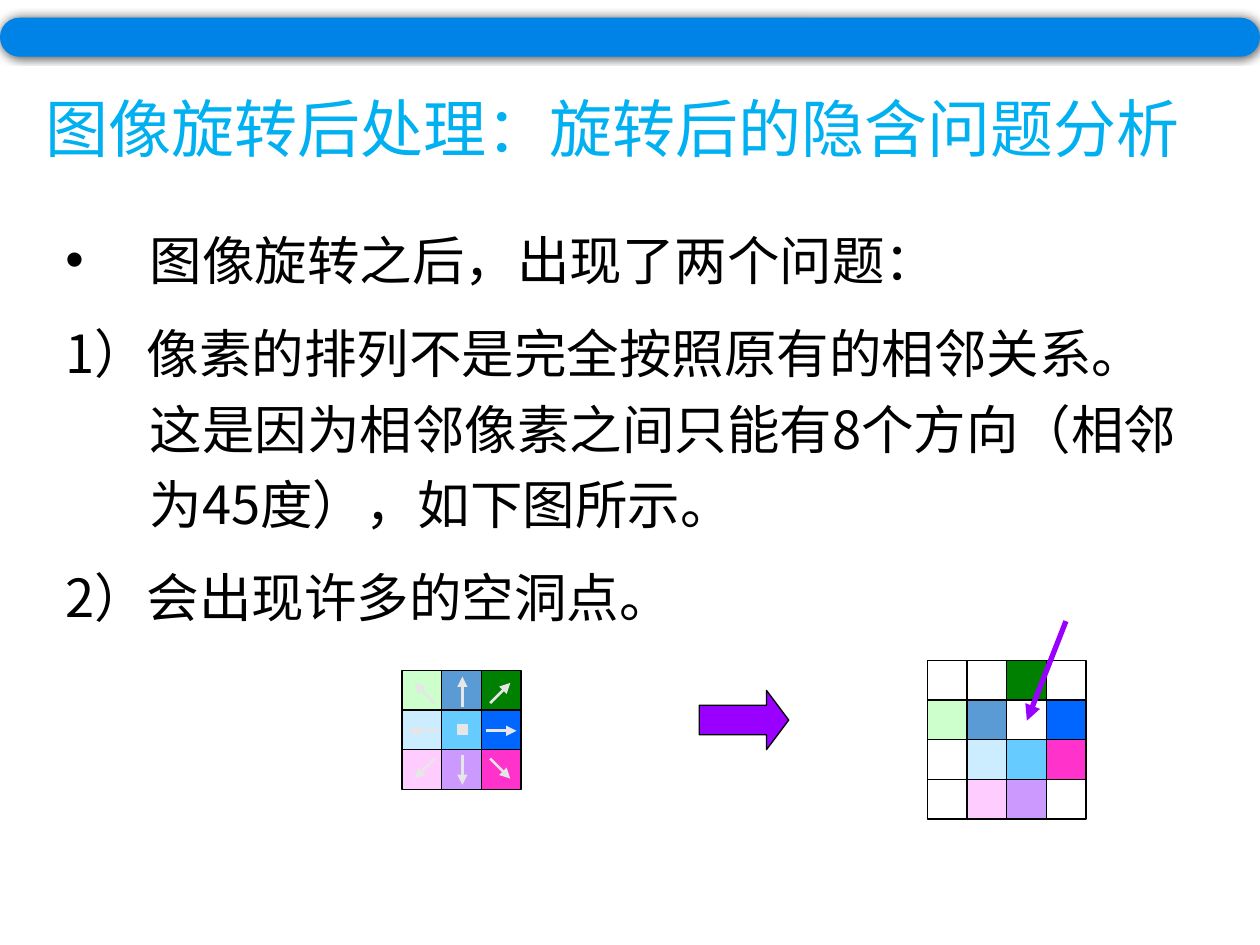
from lxml import etree
from pptx import Presentation
from pptx.dml.color import RGBColor
from pptx.enum.shapes import MSO_CONNECTOR, MSO_SHAPE
from pptx.enum.text import MSO_ANCHOR
from pptx.oxml import parse_xml
from pptx.oxml.ns import nsdecls, qn
from pptx.util import Inches, Pt

RECT = MSO_SHAPE.RECTANGLE
RIGHT_ARROW = MSO_SHAPE.RIGHT_ARROW
ROUNDED = MSO_SHAPE.ROUNDED_RECTANGLE
STRAIGHT = MSO_CONNECTOR.STRAIGHT
TOP, MIDDLE = MSO_ANCHOR.TOP, MSO_ANCHOR.MIDDLE
FONT = "Noto Sans CJK SC"
COLORS = {
    "title": "00B0F0", "black": "000000", "white": "FFFFFF", "bar": "0083E6",
    "purple": "9900FF", "gray": "E7E6E6",
    "mint": "CCFFCC", "steel": "5B9BD5", "green": "008000",
    "ice": "CCECFF", "sky": "66CCFF", "blue": "0066FF",
    "pink": "FFCCFF", "lilac": "CC99FF", "magenta": "FF33CC",
}
RGB = {name: RGBColor.from_string(value) for name, value in COLORS.items()}

prs = Presentation()
prs.slide_width, prs.slide_height = Inches(10), Inches(7.5)
slide = prs.slides.add_slide(prs.slide_layouts[6])


def add_text(paragraphs, left, top, width, height, *, size, color,
             anchor=TOP, spacing=1.0, before=0, hanging=0, bullets=()):
    """Add a text box; bullets holds the indexes of bulleted paragraphs."""
    frame = slide.shapes.add_textbox(
        Inches(left), Inches(top), Inches(width), Inches(height)).text_frame
    frame.word_wrap = True
    frame.vertical_anchor = anchor
    for index, text in enumerate(paragraphs):
        paragraph = frame.paragraphs[0] if index == 0 else frame.add_paragraph()
        paragraph.line_spacing = spacing
        paragraph.space_before = Pt(before if index else 0)
        properties = paragraph._p.get_or_add_pPr()
        if hanging:
            properties.set("marL", str(Inches(hanging)))
            properties.set("indent", str(-Inches(hanging)))
        if index in bullets:
            etree.SubElement(properties, qn("a:buFont")).set("typeface", "Arial")
            etree.SubElement(properties, qn("a:buChar")).set("char", "•")
        run = paragraph.add_run()
        run.text = text
        run.font.size = Pt(size)
        run.font.name = FONT
        run.font.color.rgb = RGB[color]
        east_asian = etree.SubElement(run._r.get_or_add_rPr(), qn("a:ea"))
        east_asian.set("typeface", FONT)


def add_arrow(shapes, start, end, color, weight):
    arrow = shapes.add_connector(STRAIGHT, *map(Inches, start + end))
    arrow.line.color.rgb = RGB[color]
    arrow.line.width = Pt(weight)
    etree.SubElement(arrow.line._get_or_add_ln(), qn("a:tailEnd")).set("type", "triangle")
    etree.SubElement(arrow._element.spPr, qn("a:effectLst"))


add_text(["图像旋转后处理：旋转后的隐含问题分析"], 0.26, 0.46, 9.52, 1.18,
         size=36, color="title", anchor=MIDDLE, spacing=0.9)
add_text(["图像旋转之后，出现了两个问题：",
          "1）像素的排列不是完全按照原有的相邻关系。这是因为相邻像素之间只能有8个方向"
          "（相邻为45度），如下图所示。",
          "2）会出现许多的空洞点。"],
         0.42, 1.66, 9.14, 3.36, size=30, color="black",
         spacing=1.2, before=10, hanging=0.67, bullets=(0,))

# Pixel grids before and after rotation
CELL = 1.26 / 4
before_rotation = (3.19, 5.32, [["mint", "steel", "green"],
                                ["ice", "sky", "blue"],
                                ["pink", "lilac", "magenta"]])
after_rotation = (7.36, 5.24, [["white", "white", "green", "white"],
                               ["mint", "steel", "white", "blue"],
                               ["white", "ice", "sky", "magenta"],
                               ["white", "pink", "lilac", "white"]])
grids = []
for grid_left, grid_top, rows in (after_rotation, before_rotation):
    grid = slide.shapes.add_group_shape()
    grids.append(grid)
    for row, names in enumerate(rows):
        for column, name in enumerate(names):
            pixel = grid.shapes.add_shape(
                RECT, Inches(grid_left + column * CELL), Inches(grid_top + row * CELL),
                Inches(CELL), Inches(CELL))
            pixel.shadow.inherit = False
            pixel.fill.solid()
            pixel.fill.fore_color.rgb = RGB[name]
            pixel.line.color.rgb = RGB["black"]
            pixel.line.width = Pt(0.75)

# Eight neighbour directions around the centre pixel
neighbours = grids[1].shapes
center_x, center_y = 3.67, 5.8
center = neighbours.add_shape(RECT, Inches(center_x - 0.04), Inches(center_y - 0.05),
                              Inches(0.08), Inches(0.08))
center.shadow.inherit = False
center.fill.solid()
center.fill.fore_color.rgb = RGB["gray"]
center.line.color.rgb = RGB["gray"]
center.line.width = Pt(0.75)
for dx in (-1, 0, 1):
    for dy in (-1, 0, 1):
        if dx or dy:
            inner, outer = (0.22, 0.38) if dx and dy else (0.19, 0.43)
            add_arrow(neighbours, (center_x + dx * inner, center_y + dy * inner),
                      (center_x + dx * outer, center_y + dy * outer), "gray", 1.5)

rotation = slide.shapes.add_shape(RIGHT_ARROW, Inches(5.55), Inches(5.48),
                                  Inches(0.71), Inches(0.47))
rotation.adjustments[0], rotation.adjustments[1] = 0.5, 0.375
rotation.shadow.inherit = False
rotation.fill.solid()
rotation.fill.fore_color.rgb = RGB["purple"]
rotation.line.color.rgb = RGB["black"]
rotation.line.width = Pt(0.75)

# Pointer to the hole left by the rotation
add_arrow(slide.shapes, (8.46, 4.93), (8.15, 5.72), "purple", 3)

top_bar = slide.shapes.add_shape(ROUNDED, 0, Inches(0.14), Inches(10), Inches(0.31))
top_bar.adjustments[0] = 0.5
top_bar.fill.solid()
top_bar.fill.fore_color.rgb = RGB["bar"]
top_bar.line.fill.background()
top_bar._element.spPr.append(parse_xml(
    f'<a:effectLst {nsdecls("a")}><a:outerShdw blurRad="{Pt(5)}" dist="0" dir="0">'
    f'<a:srgbClr val="{COLORS["black"]}"><a:alpha val="60000"/></a:srgbClr>'
    '</a:outerShdw></a:effectLst>'))

prs.save("out.pptx")
